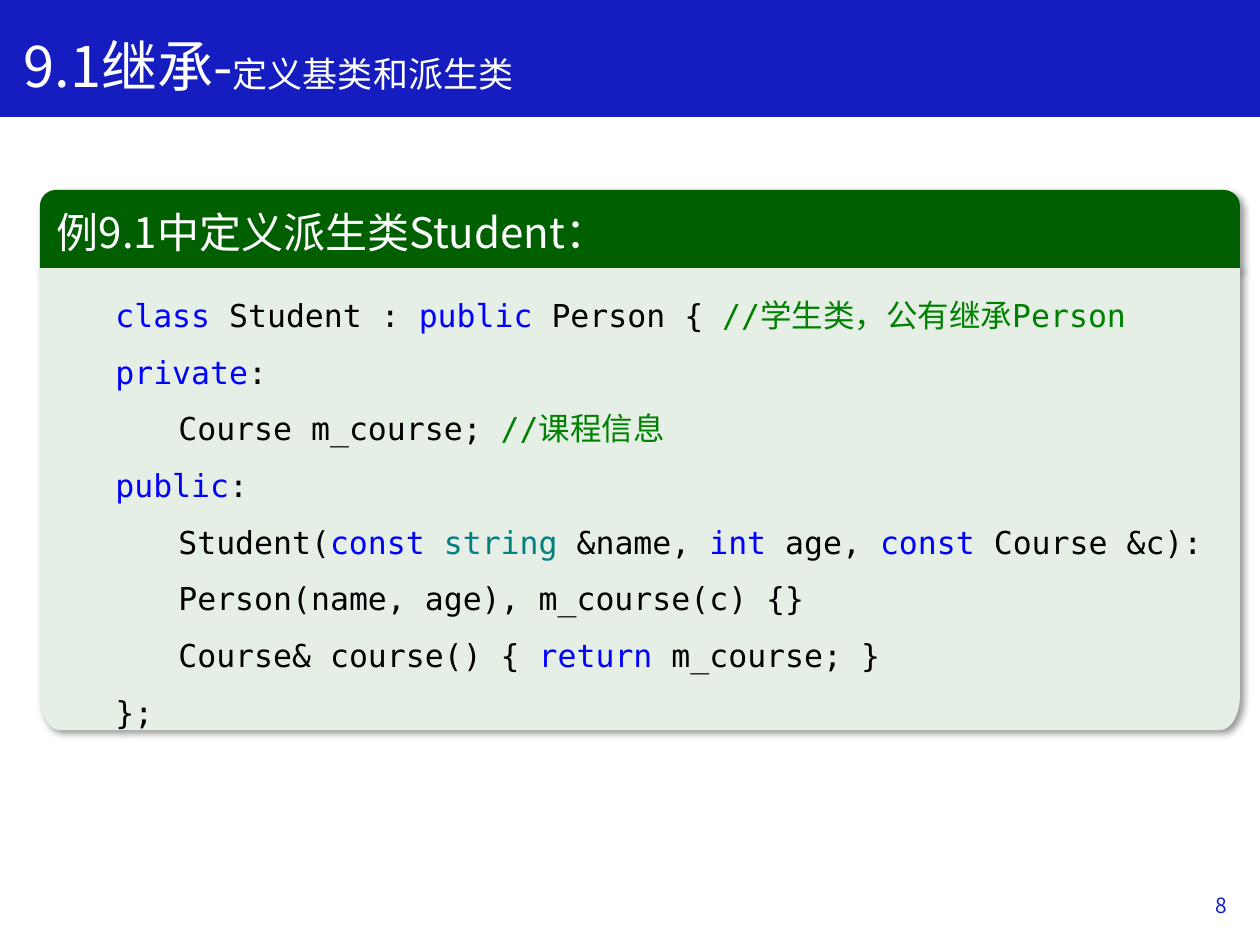
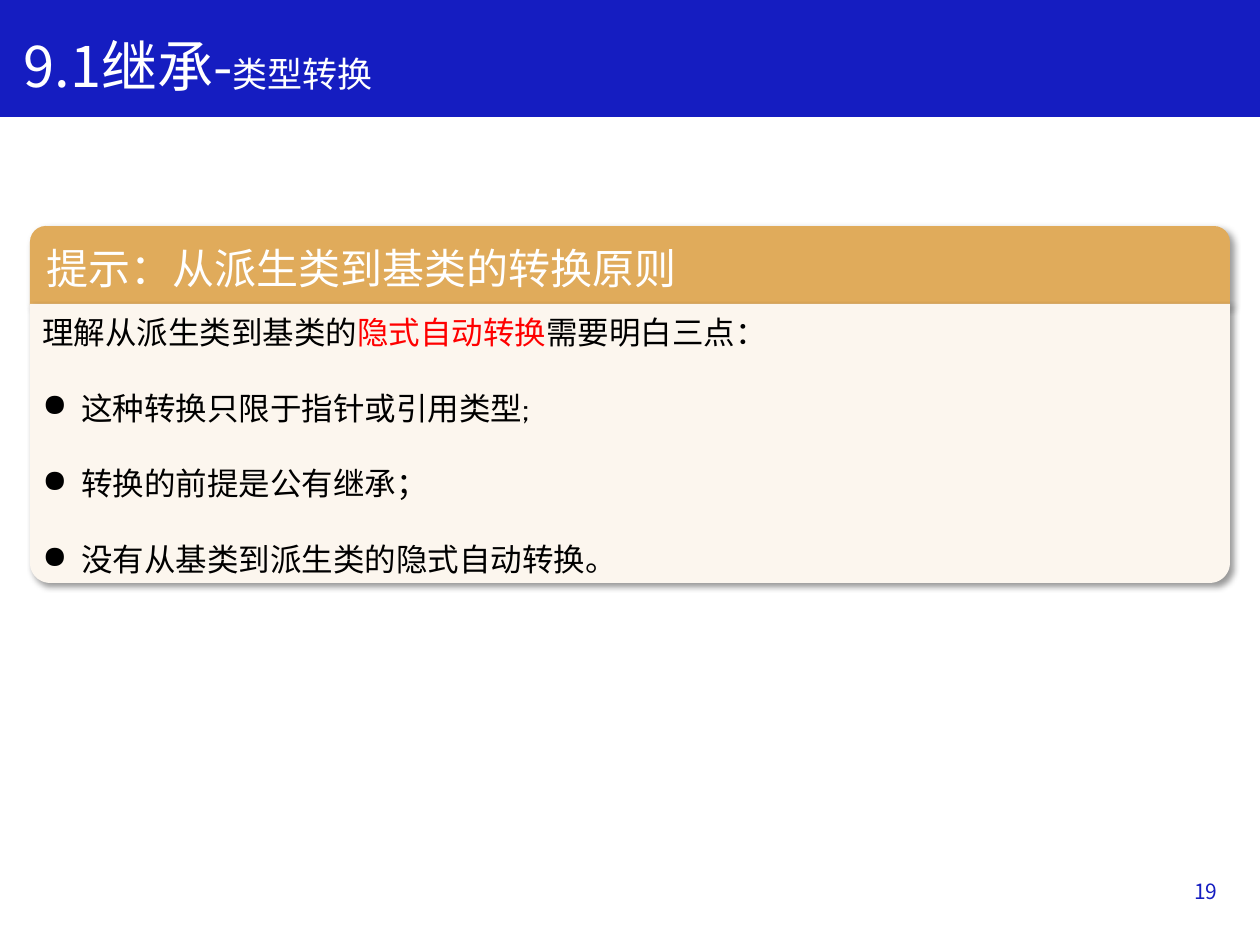
from dataclasses import dataclass
from math import cos, pi, sin
from typing import Optional

from lxml import etree
from pptx import Presentation
from pptx import util as u
from pptx.dml.color import RGBColor
from pptx.enum import shapes, text
from pptx.oxml import ns

EMU_PER_PX = 914400 / 126
SANS, MONO, ROUND = "Noto Sans CJK SC", "DejaVu Sans Mono", "Cabin"
COLORS = {
    "white": "FFFFFF", "black": "000000", "band": "151DC1",
    "example": "006000", "example_body": "E5EFE5",
    "hint": "E0AB5B", "hint_body": "FCF6EE",
    "keyword": "0000FF", "comment": "008000", "type": "008080", "alert": "FF0000",
}


@dataclass(frozen=True)
class Box:
    left: int
    top: int
    width: int
    height: int


@dataclass(frozen=True)
class Span:
    words: str
    color: Optional[str] = None
    font: Optional[str] = None
    size: Optional[int] = None


@dataclass(frozen=True)
class Para:
    spans: list[Span]
    size: int
    font: str = SANS
    color: str = "black"
    line: Optional[float] = None
    after: float = 0
    level: int = 0
    margin: int = 0
    hanging: int = 0
    bullet: Optional[str] = None
    align: text.PP_ALIGN = text.PP_ALIGN.LEFT


@dataclass(frozen=True)
class Panel:
    left: int
    top: int
    body_height: int
    corner_height: int
    heading: str
    color: str
    paras: list[Para]


@dataclass(frozen=True)
class Lesson:
    topic: str
    panel: Panel
    number: str
    number_box: Box


def px(length: float) -> u.Emu:
    return u.Emu(round(length * EMU_PER_PX))


def place(box: Box) -> list[u.Emu]:
    return [px(side) for side in (box.left, box.top, box.width, box.height)]


def rgb(name: str) -> RGBColor:
    return RGBColor.from_string(COLORS[name])


def child(parent, tag: str, **attributes: str):
    return etree.SubElement(parent, ns.qn(tag), attributes)


def set_typeface(font, properties, name: str) -> None:
    font.name = name
    latin = properties.find(ns.qn("a:latin"))
    east_asian = etree.Element(ns.qn("a:ea"), typeface=name)
    latin.addnext(east_asian)


def write(frame, paras: list[Para], anchor=text.MSO_ANCHOR.TOP, top_margin: int = 6) -> None:
    frame.word_wrap = True
    frame.vertical_anchor = anchor
    frame.margin_top = px(top_margin)
    for index, para in enumerate(paras):
        paragraph = frame.add_paragraph() if index else frame.paragraphs[0]
        paragraph.alignment = para.align
        paragraph.level = para.level
        paragraph.space_after = u.Pt(para.after)
        if para.line:
            paragraph.line_spacing = u.Pt(para.line)
        properties = paragraph._p.get_or_add_pPr()
        properties.set("marL", str(px(para.margin)))
        properties.set("indent", str(px(-para.hanging)))
        if para.bullet:
            child(properties, "a:buChar", char=para.bullet)
        paragraph.font.size = u.Pt(para.size)
        paragraph.font.color.rgb = rgb(para.color)
        set_typeface(paragraph.font, properties.find(ns.qn("a:defRPr")), para.font)
        for span in para.spans:
            run = paragraph.add_run()
            run.text = span.words
            if span.size:
                run.font.size = u.Pt(span.size)
            if span.color:
                run.font.color.rgb = rgb(span.color)
            if span.font:
                set_typeface(run.font, run._r.get_or_add_rPr(), span.font)


def fill(shape, color: str) -> None:
    shape.shadow.inherit = False
    shape.fill.solid()
    shape.fill.fore_color.rgb = rgb(color)
    shape.line.fill.background()


def add_shadow(shape) -> None:
    effects = shape._element.spPr.find(ns.qn("a:effectLst"))
    shadow = child(effects, "a:outerShdw", blurRad=str(u.Pt(4)), dist=str(u.Pt(3)),
                   dir="2700000", algn="tl", rotWithShape="0")
    tint = child(shadow, "a:srgbClr", val=COLORS["black"])
    child(tint, "a:alpha", val="40000")


def draw_title(page, topic: str) -> None:
    band = page.shapes.add_shape(shapes.MSO_SHAPE.RECTANGLE, *place(Box(0, 0, 1260, 116)))
    fill(band, "band")
    band.line.color.rgb = rgb("band")
    band.line.width = u.Pt(1)
    title = page.shapes.add_textbox(*place(Box(11, 21, 925, 81)))
    spans = [Span("9.1继承-"), Span(topic, size=20)]
    write(title.text_frame, [Para(spans, 32, color="white", line=38.4)], top_margin=10)


def draw_number(page, number: str, box: Box) -> None:
    label = page.shapes.add_textbox(*place(box))
    para = Para([Span(number)], 12, color="band", align=text.PP_ALIGN.RIGHT)
    write(label.text_frame, [para], text.MSO_ANCHOR.MIDDLE)


def body_outline(box: Box, corner_width: int, corner_height: int) -> list[tuple[u.Emu, u.Emu]]:
    right, bottom = box.left + box.width, box.top + box.height
    points = [(right, box.top)]
    centers = (right - corner_width, box.left + corner_width)
    for quarter, center in enumerate(centers):
        for step in range(13):
            angle = (quarter + step / 12) * pi / 2
            points.append((center + corner_width * cos(angle),
                           bottom - corner_height + corner_height * sin(angle)))
    return [(px(x), px(y)) for x, y in points]


def draw_panel(page, panel: Panel) -> None:
    group = page.shapes.add_group_shape()
    header = group.shapes.add_shape(shapes.MSO_SHAPE.ROUND_2_SAME_RECTANGLE,
                                    *place(Box(panel.left, panel.top, 1200, 79)))
    header.adjustments[0] = 0.2
    fill(header, panel.color)
    add_shadow(header)
    write(header.text_frame, [Para([Span(panel.heading)], 24, color="white")],
          text.MSO_ANCHOR.MIDDLE)

    box = Box(panel.left, panel.top + 78, 1200, panel.body_height)
    outline = group.shapes.build_freeform(px(box.left), px(box.top))
    outline.add_line_segments(body_outline(box, 20, panel.corner_height))
    body = outline.convert_to_shape()
    fill(body, f"{panel.color}_body")
    add_shadow(body)
    write(body.text_frame, panel.paras, top_margin=9)


def code(*spans: Span) -> Para:
    return Para(list(spans), 18, MONO, line=32.4, level=1, margin=63)


def hint(*spans: Span, bullet: Optional[str] = "●") -> Para:
    indent = 39 if bullet else 0
    return Para(list(spans), 18, line=21.6, after=21.6,
                margin=indent, hanging=indent, bullet=bullet)


def keyword(words: str) -> Span:
    return Span(words, "keyword")


def comment(words: str) -> list[Span]:
    return [Span("//", "comment"), Span(words, "comment", SANS)]


STUDENT_CLASS = [
    code(keyword("class "), Span("Student : "), keyword("public "), Span("Person { "),
         *comment("学生类，公有继承"), Span("Person", "comment")),
    code(keyword("private"), Span(":")),
    code(Span("\tCourse m_course; "), *comment("课程信息")),
    code(keyword("public"), Span(":")),
    code(Span("\tStudent("), keyword("const "), Span("string ", "type"), Span("&name, "),
         keyword("int "), Span("age, "), keyword("const "), Span("Course &c):")),
    code(Span("\tPerson(name, age), m_course(c) {}")),
    code(Span("\tCourse& course() { "), keyword("return "), Span("m_course; }")),
    code(Span("};")),
]
CONVERSION_RULES = [
    hint(Span("理解从派生类到基类的"), Span("隐式自动转换", "alert"),
         Span("需要明白三点："), bullet=None),
    hint(Span("这种转换只限于指针或引用类型"), Span(";", font=ROUND)),
    hint(Span("转换的前提是公有继承；")),
    hint(Span("没有从基类到派生类的隐式自动转换。")),
]
LESSONS = [
    Lesson("定义基类和派生类",
           Panel(40, 190, 462, 34, "例9.1中定义派生类Student：", "example", STUDENT_CLASS),
           "8", Box(956, 880, 284, 50)),
    Lesson("类型转换",
           Panel(30, 226, 279, 20, "提示：从派生类到基类的转换原则", "hint", CONVERSION_RULES),
           "19", Box(946, 866, 284, 50)),
]


def main() -> None:
    deck = Presentation()
    deck.slide_width, deck.slide_height = px(1260), px(945)
    for lesson in LESSONS:
        page = deck.slides.add_slide(deck.slide_layouts[6])
        draw_title(page, lesson.topic)
        draw_panel(page, lesson.panel)
        draw_number(page, lesson.number, lesson.number_box)
    deck.save("out.pptx")


if __name__ == "__main__":
    main()
